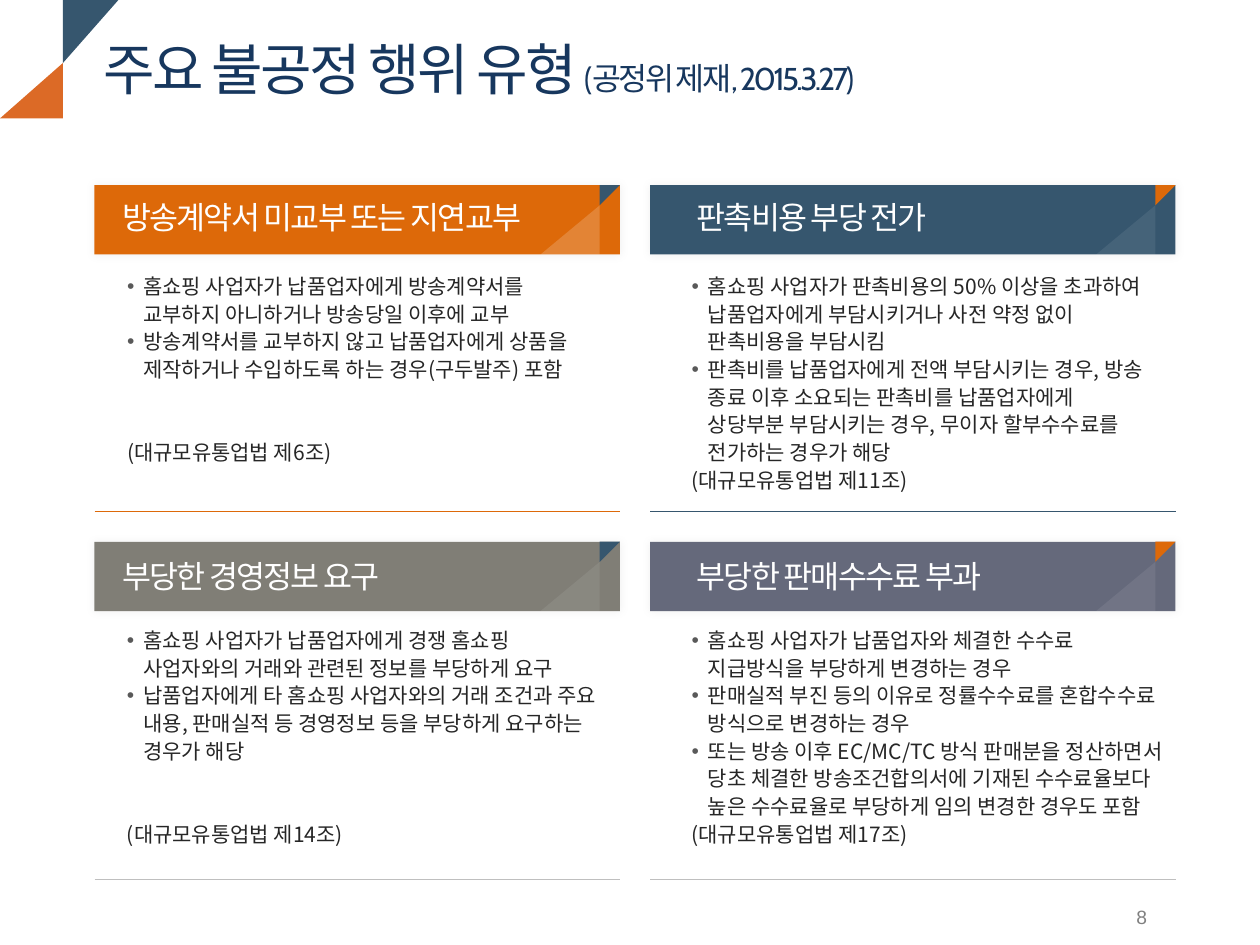
import pptx
import pptx.util
import pptx.dml.color
import pptx.enum.shapes
import pptx.enum.text
import pptx.oxml
import pptx.oxml.ns
from lxml import etree

Inches = pptx.util.Inches
Pt = pptx.util.Pt
RGB = pptx.dml.color.RGBColor
qn = pptx.oxml.ns.qn
KIND = pptx.enum.shapes.MSO_SHAPE
ALIGN = pptx.enum.text.PP_ALIGN
ANCHOR = pptx.enum.text.MSO_ANCHOR

ORANGE = RGB(0xDD, 0x69, 0x09)
RUST = RGB(0xDC, 0x6A, 0x26)
BLUE = RGB(0x36, 0x56, 0x6E)
NAVY = RGB(0x17, 0x37, 0x5E)
STONE = RGB(0x80, 0x7E, 0x76)
SLATE = RGB(0x65, 0x69, 0x7B)
WHITE = RGB(0xFF, 0xFF, 0xFF)
SILVER = RGB(0xBF, 0xBF, 0xBF)
GRAY = RGB(0x80, 0x80, 0x80)
INK = RGB(0x26, 0x26, 0x26)

NOTO = "Noto Sans CJK KR"
LEFTS = (0.75, 5.16)
WIDE, HIGH = 4.17, 0.55
GAP = 31.7

# Each row: top of bar, top of heading, top of body, body width and height, rule
ROWS = (
    (1.47, 1.52, 2.1, 3.78, 1.88, 4.06),
    (4.3, 4.37, 4.91, 3.94, 2.1, 6.98),
)

# Each panel: heading, bar, corner, opacity of the sheen, rule, items, law, gap
PANELS = (
    ("방송계약서 미교부 또는 지연교부", ORANGE, BLUE, 18, ORANGE,
     ("홈쇼핑 사업자가 납품업자에게 방송계약서를 교부하지 아니하거나 방송당일 이후에 교부",
      "방송계약서를 교부하지 않고 납품업자에게 상품을 제작하거나 수입하도록 하는 경우(구두발주) 포함"),
     "(대규모유통업법 제6조)", GAP),
    ("판촉비용 부당 전가", BLUE, ORANGE, 8, BLUE,
     ("홈쇼핑 사업자가 판촉비용의 50% 이상을 초과하여 납품업자에게 부담시키거나 사전 약정 없이 판촉비용을 부담시킴",
      "판촉비를 납품업자에게 전액 부담시키는 경우, 방송 종료 이후 소요되는 판촉비를 납품업자에게 "
      "상당부분 부담시키는 경우, 무이자 할부수수료를 전가하는 경우가 해당"),
     "(대규모유통업법 제11조)", 0),
    ("부당한 경영정보 요구", STONE, BLUE, 8, SILVER,
     ("홈쇼핑 사업자가 납품업자에게 경쟁 홈쇼핑 사업자와의 거래와 관련된 정보를 부당하게 요구",
      "납품업자에게 타 홈쇼핑 사업자와의 거래 조건과 주요 내용, 판매실적 등 경영정보 등을 부당하게 요구하는 경우가 해당"),
     "(대규모유통업법 제14조)", GAP),
    ("부당한 판매수수료 부과", SLATE, ORANGE, 8, SILVER,
     ("홈쇼핑 사업자가 납품업자와 체결한 수수료 지급방식을 부당하게 변경하는 경우",
      "판매실적 부진 등의 이유로 정률수수료를 혼합수수료 방식으로 변경하는 경우",
      "또는 방송 이후 EC/MC/TC 방식 판매분을 정산하면서 당초 체결한 방송조건합의서에 기재된 "
      "수수료율보다 높은 수수료율로 부당하게 임의 변경한 경우도 포함"),
     "(대규모유통업법 제17조)", 0),
)


def write(para, text, size=12, color=INK, font=NOTO, track=0, line=None):
    """Add a run; track and line are in points."""
    run = para.add_run()
    run.text = text
    run.font.size = Pt(size)
    run.font.color.rgb = color
    run.font.name = font
    props = run.font._element
    etree.SubElement(props, qn("a:ea")).set("typeface", font)
    if track:
        props.set("spc", str(int(track * 100)))
    if line:
        para.line_spacing = Pt(line)


def frame(slide, left, top, width, height, anchor=ANCHOR.TOP):
    box = slide.shapes.add_textbox(
        Inches(left), Inches(top), Inches(width), Inches(height))
    box.text_frame.word_wrap = True
    box.text_frame.vertical_anchor = anchor
    return box.text_frame


def paint(shape, color, alpha=100):
    shape.shadow.inherit = False
    shape.fill.solid()
    shape.fill.fore_color.rgb = color
    shape.line.fill.background()
    if alpha < 100:
        tint = shape._element.spPr.find(".//" + qn("a:srgbClr"))
        etree.SubElement(tint, qn("a:alpha")).set("val", str(alpha * 1000))


def block(slide, kind, left, top, width, height, color, alpha=100):
    shape = slide.shapes.add_shape(
        kind, Inches(left), Inches(top), Inches(width), Inches(height))
    paint(shape, color, alpha)
    return shape


def wedge(slide, left, top, width, height, color, flip, alpha=100):
    """Right triangle; flip is flipV or flipH."""
    shape = block(slide, KIND.ISOSCELES_TRIANGLE, left, top, width, height,
                  color, alpha)
    shape.adjustments[0] = 0
    shape._element.spPr.find(qn("a:xfrm")).set(flip, "1")


def glow(shape):
    """Soft dark edge around a bar."""
    effects = shape._element.spPr.find(qn("a:effectLst"))
    shade = etree.SubElement(effects, qn("a:outerShdw"), blurRad=str(Pt(5)),
                             dist="0", dir="0", algn="ctr", rotWithShape="0")
    tint = etree.SubElement(shade, qn("a:srgbClr"), val="000000")
    etree.SubElement(tint, qn("a:alpha"), val="6000")


def corner(slide, points, color):
    spots = [(Inches(x), Inches(y)) for x, y in points]
    pen = slide.shapes.build_freeform(*spots[0])
    pen.add_line_segments(spots[1:], close=True)
    paint(pen.convert_to_shape(), color)


def rule(slide, left, top, color):
    line = slide.shapes.add_connector(
        pptx.enum.shapes.MSO_CONNECTOR.STRAIGHT,
        Inches(left), Inches(top), Inches(left + WIDE), Inches(top))
    line.line.color.rgb = color
    line.line.width = Pt(0.75)
    etree.SubElement(line._element.spPr, qn("a:effectLst"))


def bullet(para):
    props = para._p.get_or_add_pPr()
    props.set("marL", str(Inches(0.13)))
    props.set("indent", str(Inches(-0.13)))
    tint = etree.SubElement(props, qn("a:buClr"))
    etree.SubElement(tint, qn("a:srgbClr"), val="595959")
    etree.SubElement(props, qn("a:buFont"), typeface="Arial")
    etree.SubElement(props, qn("a:buChar"), char="•")


def panel(slide, left, row, data):
    top, head, body, wide, high, base = row
    title, fill, accent, alpha, ink, items, law, gap = data
    right = left + WIDE
    glow(block(slide, KIND.RECTANGLE, left, top, WIDE, HIGH, fill))
    wedge(slide, right - 0.16, top, 0.16, 0.16, accent, "flipV")
    wedge(slide, right - 0.63, top + 0.16, 0.47, 0.39, WHITE, "flipH", alpha)
    rule(slide, left, base, ink)

    inset = 0.12 if left == LEFTS[0] else 0.27
    text = frame(slide, left + inset, head, 3.75, 0.4)
    write(text.paragraphs[0], title, size=18, color=WHITE, track=-1, line=21.6)

    inset = 0.16 if left == LEFTS[0] else 0.23
    text = frame(slide, left + inset, body, wide, high)
    para = text.paragraphs[0]
    for item in items:
        bullet(para)
        write(para, item, line=15.84)
        para = text.add_paragraph()
    para.space_before = Pt(gap)
    write(para, law, line=15.84)


def main():
    deck = pptx.Presentation()
    deck.slide_width, deck.slide_height = Inches(10), Inches(7.5)
    slide = deck.slides.add_slide(deck.slide_layouts[6])

    corner(slide, ((0.5, 0), (0.94, 0), (0.5, 0.5)), BLUE)
    corner(slide, ((0.5, 0.94), (0.5, 0.5), (0, 0.94)), RUST)

    para = frame(slide, 0.72, 0.22, 6.88, 0.64, ANCHOR.MIDDLE).paragraphs[0]
    for text, size in (("주요 불공정 행위 유형", 32),
                       (" (공정위 제재, 2015.3.27)", 18)):
        write(para, text, size=size, color=NAVY, font="Cabin", track=-1.5)

    for i, data in enumerate(PANELS):
        panel(slide, LEFTS[i % 2], ROWS[i // 2], data)

    para = frame(slide, 8.92, 7.13, 0.27, 0.29, ANCHOR.MIDDLE).paragraphs[0]
    para.alignment = ALIGN.CENTER
    write(para, "8", size=11, color=GRAY, font="Arial", track=-1)
    deck.save("out.pptx")


if __name__ == "__main__":
    main()
